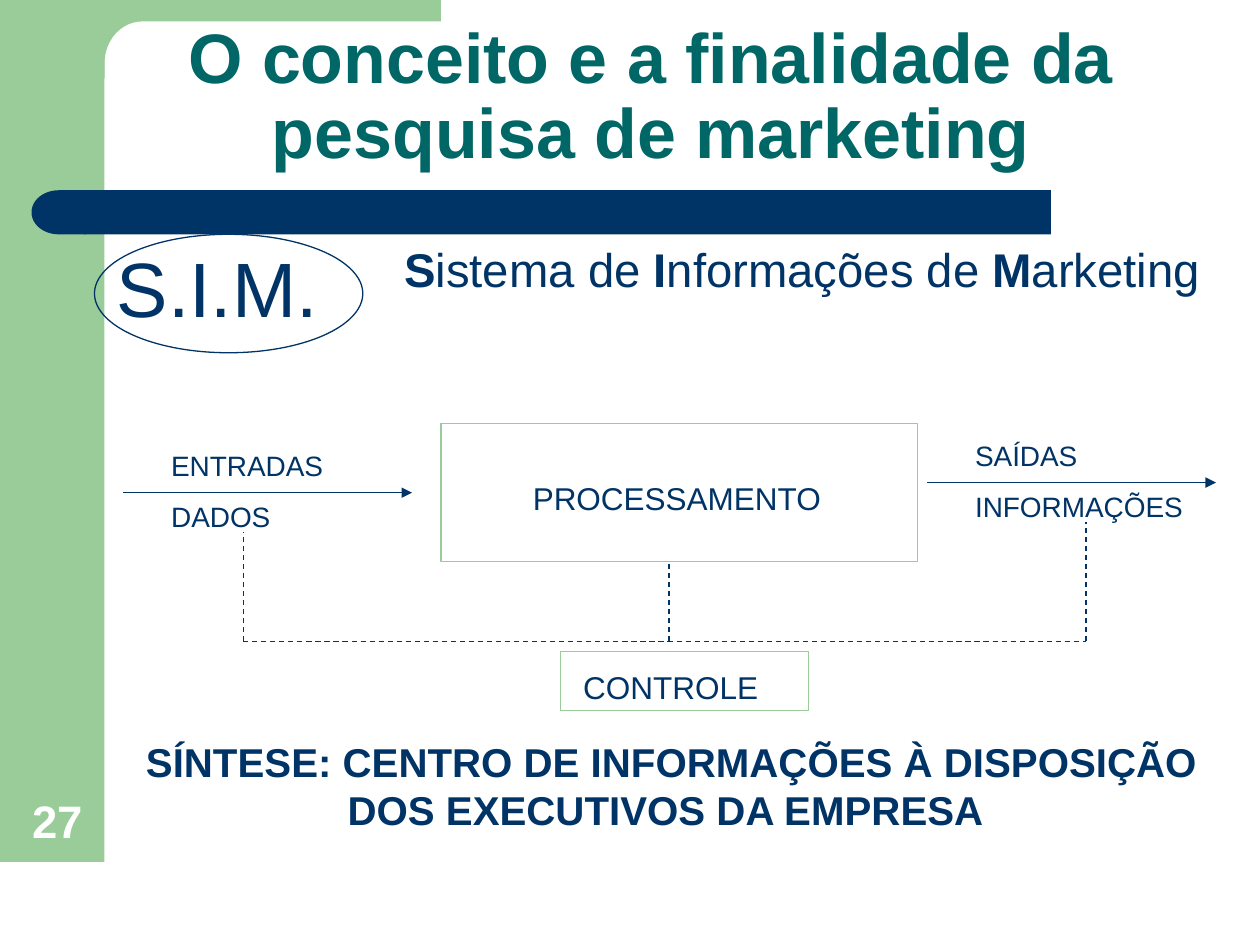
from math import cos, pi, sin

from lxml.etree import SubElement
from pptx import Presentation
from pptx.dml.color import RGBColor
from pptx.enum.dml import MSO_LINE
from pptx.enum.shapes import MSO_CONNECTOR, MSO_SHAPE
from pptx.enum.text import MSO_ANCHOR, MSO_AUTO_SIZE, PP_ALIGN
from pptx.oxml.ns import qn
from pptx.util import Inches, Pt

COLORS = {"navy": "003366", "green": "99CC99", "teal": "006666", "white": "FFFFFF"}


def color(name):
    return RGBColor.from_string(COLORS[name])


def set_values(target, values):
    for name, value in values.items():
        setattr(target, name, value)


def add_span(para, text, size, ink="navy", bold=False):
    span = para.add_run()
    span.text = text
    set_values(span.font, {"name": "Arial", "size": Pt(size), "bold": bold})
    span.font.color.rgb = color(ink)


def add_text(page, box, lines, size, ink="navy", bold=False, gap=0,
             anchor=MSO_ANCHOR.TOP, align=PP_ALIGN.LEFT):
    """Add a text box; each line is a list of (text, bold) spans or a string."""
    frame = page.shapes.add_textbox(*map(Inches, box)).text_frame
    set_values(frame, {"word_wrap": True, "vertical_anchor": anchor})
    for index, line in enumerate(lines):
        para = frame.add_paragraph() if index else frame.paragraphs[0]
        set_values(para, {"alignment": align, "space_before": Pt(gap if index else 0)})
        for text, heavy in [(line, bold)] if isinstance(line, str) else line:
            add_span(para, text, size, ink, heavy)
    return frame


def paint(shape, fill=None, outline=None):
    shape.shadow.inherit = False
    if fill:
        shape.fill.solid()
        shape.fill.fore_color.rgb = color(fill)
    else:
        shape.fill.background()
    if outline:
        shape.line.color.rgb = color(outline)
        shape.line.width = Pt(0.75)
    else:
        shape.line.fill.background()


def add_figure(page, kind, box, fill=None, outline=None):
    shape = page.shapes.add_shape(kind, *map(Inches, box))
    paint(shape, fill, outline)
    return shape


def add_line(page, start, end, dashed=False, arrow=False):
    line = page.shapes.add_connector(MSO_CONNECTOR.STRAIGHT, *map(Inches, start + end))
    line.line.color.rgb = color("navy")
    line.line.width = Pt(0.75)
    if dashed:
        line.line.dash_style = MSO_LINE.DASH
    if arrow:
        SubElement(line.line._get_or_add_ln(), qn("a:tailEnd"), type="triangle")
    SubElement(line._element.spPr, qn("a:effectLst"))


def add_frame(page):
    """Draw the green side band with its rounded corner and the navy bar."""
    add_figure(page, MSO_SHAPE.RECTANGLE, (0, 0, 0.83, 6.84), "green")
    steps = 12
    angles = [pi / 2 * step / steps for step in range(steps + 1)]
    corner = [(1.13 - 0.3 * sin(angle), 0.5 - 0.33 * cos(angle)) for angle in angles]
    points = [(3.5, 0.17), *corner, (0.83, 0.62), (0.5, 0.62), (0.5, 0)]
    builder = page.shapes.build_freeform(Inches(3.5), 0)
    builder.add_line_segments([(Inches(x), Inches(y)) for x, y in points], close=True)
    paint(builder.convert_to_shape(), "green")

    add_figure(page, MSO_SHAPE.RECTANGLE, (0.67, 1.51, 7.67, 0.35), "navy")
    cap = add_figure(page, MSO_SHAPE.FLOWCHART_DELAY, (0.25, 1.51, 0.43, 0.35), "navy")
    cap.rotation = 180
    add_text(page, (0.16, 6.25, 0.64, 0.53), ["27"], 26, "white", True,
             anchor=MSO_ANCHOR.BOTTOM)


def fill_title(page, box):
    title = page.shapes.title
    set_values(title, dict(zip(("left", "top", "width", "height"), map(Inches, box))))
    frame = title.text_frame
    set_values(frame, {"margin_left": 0, "margin_right": 0, "margin_top": 0,
                       "margin_bottom": 0, "word_wrap": True,
                       "auto_size": MSO_AUTO_SIZE.NONE,
                       "vertical_anchor": MSO_ANCHOR.BOTTOM})
    para = frame.paragraphs[0]
    set_values(para, {"alignment": PP_ALIGN.CENTER, "line_spacing": 0.9})
    add_span(para, "O conceito e a finalidade da pesquisa de marketing", 40, "teal", True)


def add_acronym(page, left, top):
    add_text(page, (left + 0.08, top, 1.89, 0.84), ["S.I.M."], 44)
    add_figure(page, MSO_SHAPE.OVAL, (left, top, 2.13, 0.94), outline="navy")
    meaning = [("S", True), ("istema de ", False), ("I", True),
               ("nformações de ", False), ("M", True), ("arketing", False)]
    add_text(page, (left + 2.36, top, 6.69, 0.55), [meaning], 27)


def add_flow(page, left, top, width, labels):
    """Draw an arrow with one label above it and one below."""
    add_line(page, (left, top), (left + width, top), arrow=True)
    add_text(page, (left + 0.28, top - 0.4, 1.89, 0.77), labels, 16, gap=10,
             align=PP_ALIGN.JUSTIFY)


def add_stage(page, box, label, label_box):
    add_figure(page, MSO_SHAPE.RECTANGLE, box, outline="green")
    add_text(page, label_box, [label], 18)


def add_control_loop(page, base, branches):
    """Join the dashed branches, given as (x, top), along one base line."""
    for x, top in branches:
        add_line(page, (x, base), (x, top), dashed=True)
    add_line(page, (branches[0][0], base), (branches[-1][0], base), dashed=True)


def add_diagram(page):
    add_flow(page, 0.98, 3.91, 2.29, ["ENTRADAS", "DADOS"])
    add_flow(page, 7.36, 3.83, 2.29, ["SAÍDAS", "INFORMAÇÕES"])
    add_stage(page, (3.5, 3.36, 3.78, 1.1), "PROCESSAMENTO", (4.13, 3.75, 2.68, 0.4))
    add_stage(page, (4.45, 5.17, 1.97, 0.47), "CONTROLE", (4.53, 5.25, 1.89, 0.4))
    add_control_loop(page, 5.09, [(1.93, 4.22), (5.31, 4.46), (8.62, 4.14)])


def add_summary(page, box):
    frame = add_text(page, box, ["SÍNTESE: CENTRO DE INFORMAÇÕES À DISPOSIÇÃO",
                                 "DOS EXECUTIVOS DA EMPRESA"], 23, bold=True)
    indent = frame.paragraphs[1]._p.get_or_add_pPr()
    indent.set("marL", str(Inches(1.6)))


def main():
    deck = Presentation()
    set_values(deck, {"slide_width": Inches(10), "slide_height": Inches(7.5)})
    page = deck.slides.add_slide(deck.slide_layouts[5])
    add_frame(page)
    fill_title(page, (0.91, 0.29, 8.51, 1.09))
    add_acronym(page, 0.75, 1.86)
    add_diagram(page)
    add_summary(page, (1.06, 5.8, 8.58, 0.87))
    deck.save("out.pptx")


if __name__ == "__main__":
    main()
